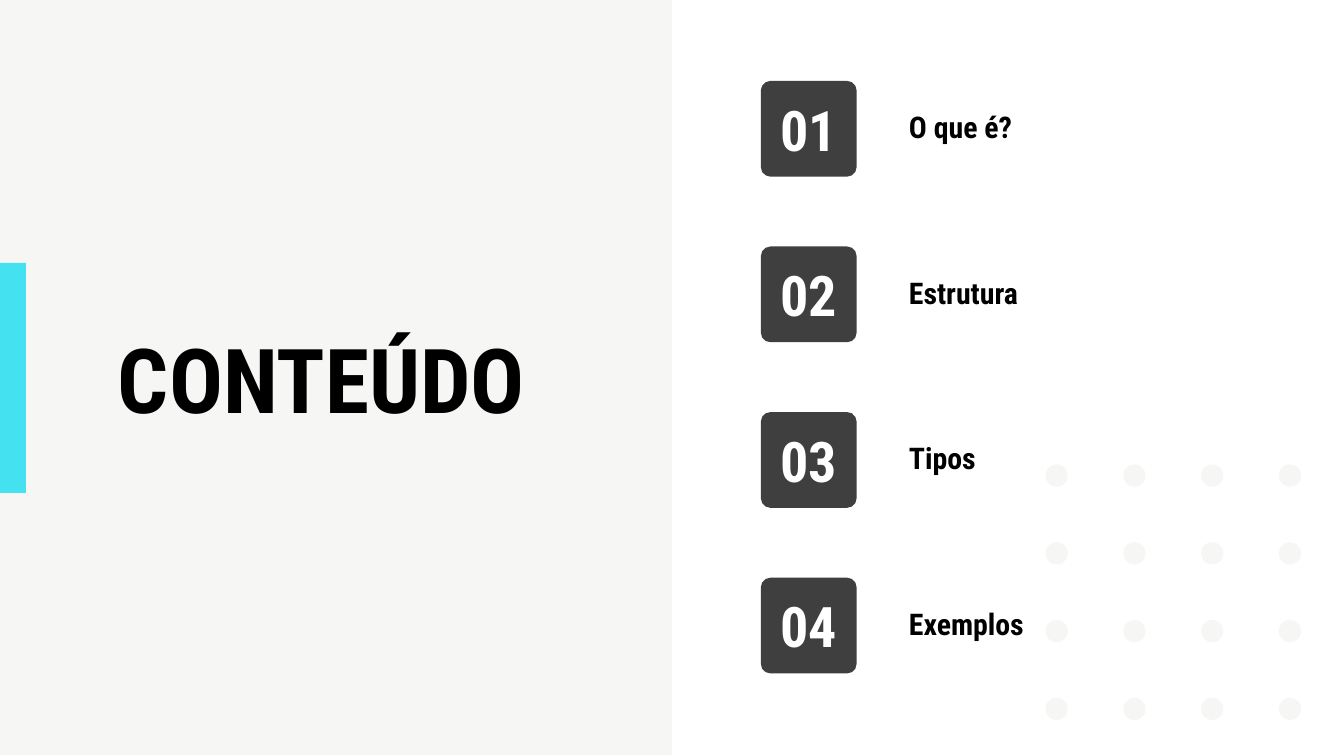
from dataclasses import dataclass
from itertools import product

from pptx import Presentation
from pptx.dml.color import RGBColor
from pptx.enum.shapes import MSO_SHAPE
from pptx.enum.text import MSO_ANCHOR, PP_ALIGN
from pptx.util import Cm, Pt

FONT = "Roboto Condensed"
PALE, DARK, CYAN = "F6F6F4", "3F3F3F", "44E1F1"
BLACK, WHITE = "000000", "FFFFFF"


@dataclass(frozen=True)
class Box:
    """A rectangle in centimetres."""
    left: float
    top: float
    width: float
    height: float

    def moved(self, across: float = 0, down: float = 0) -> "Box":
        return Box(self.left + across, self.top + down, self.width, self.height)

    def lengths(self) -> list[Cm]:
        return [Cm(value) for value in (self.left, self.top, self.width, self.height)]


@dataclass(frozen=True)
class TextStyle:
    size: float
    color: str
    anchor: MSO_ANCHOR
    align: PP_ALIGN = PP_ALIGN.LEFT
    side_margin: float = 0.25


HEADING = TextStyle(48, BLACK, MSO_ANCHOR.MIDDLE)
NUMBER = TextStyle(30, WHITE, MSO_ANCHOR.MIDDLE, PP_ALIGN.CENTER, 0)
TOPIC = TextStyle(16, BLACK, MSO_ANCHOR.TOP)


def color_of(value: str) -> RGBColor:
    return RGBColor.from_string(value)


def set_all(target, values: dict) -> None:
    for name, value in values.items():
        setattr(target, name, value)


def add_filled(slide, kind: MSO_SHAPE, box: Box, color: str):
    shape = slide.shapes.add_shape(kind, *box.lengths())
    shape.shadow.inherit = False
    shape.fill.solid()
    shape.fill.fore_color.rgb = color_of(color)
    shape.line.fill.background()
    return shape


def add_text(slide, text: str, box: Box, style: TextStyle) -> None:
    frame = slide.shapes.add_textbox(*box.lengths()).text_frame
    set_all(frame, {
        "word_wrap": True, "vertical_anchor": style.anchor,
        "margin_left": Cm(style.side_margin), "margin_right": Cm(style.side_margin),
        "margin_top": Cm(0.25), "margin_bottom": Cm(0.25),
    })
    paragraph = frame.paragraphs[0]
    paragraph.alignment = style.align
    run = paragraph.add_run()
    run.text = text
    set_all(run.font, {"name": FONT, "size": Pt(style.size), "bold": True})
    run.font.color.rgb = color_of(style.color)


presentation = Presentation()
set_all(presentation, {"slide_width": Cm(25.4), "slide_height": Cm(14.29)})
slide = presentation.slides.add_slide(presentation.slide_layouts[6])

# Left panel
add_filled(slide, MSO_SHAPE.RECTANGLE, Box(0, -0.02, 12.7, 14.29), PALE)

# Dot grid
DOT, DOT_STEP = Box(19.76, 8.78, 0.42, 0.42), 1.47
for row, column in product(range(4), repeat=2):
    add_filled(slide, MSO_SHAPE.OVAL, DOT.moved(column * DOT_STEP, row * DOT_STEP), PALE)

# Heading and accent bar
add_text(slide, "CONTEÚDO", Box(1.98, 4.71, 8.53, 4.87), HEADING)
add_filled(slide, MSO_SHAPE.RECTANGLE, Box(0, 4.97, 0.49, 4.35), CYAN)

# Numbered topics
BADGE = Box(14.38, 1.53, 1.81, 1.81)
NUMBER_BOX = Box(14.53, 1.89, 1.52, 1.09)
TOPIC_BOX = Box(16.93, 1.81, 6.07, 1.09)
TOPIC_STEP = 3.13
for index, topic in enumerate(["O que é?", "Estrutura", "Tipos", "Exemplos"]):
    down = index * TOPIC_STEP
    badge = add_filled(slide, MSO_SHAPE.ROUNDED_RECTANGLE, BADGE.moved(down=down), DARK)
    badge.adjustments[0] = 0.1
    add_text(slide, f"{index + 1:02}", NUMBER_BOX.moved(down=down), NUMBER)
    add_text(slide, topic, TOPIC_BOX.moved(down=down), TOPIC)

presentation.save("out.pptx")
